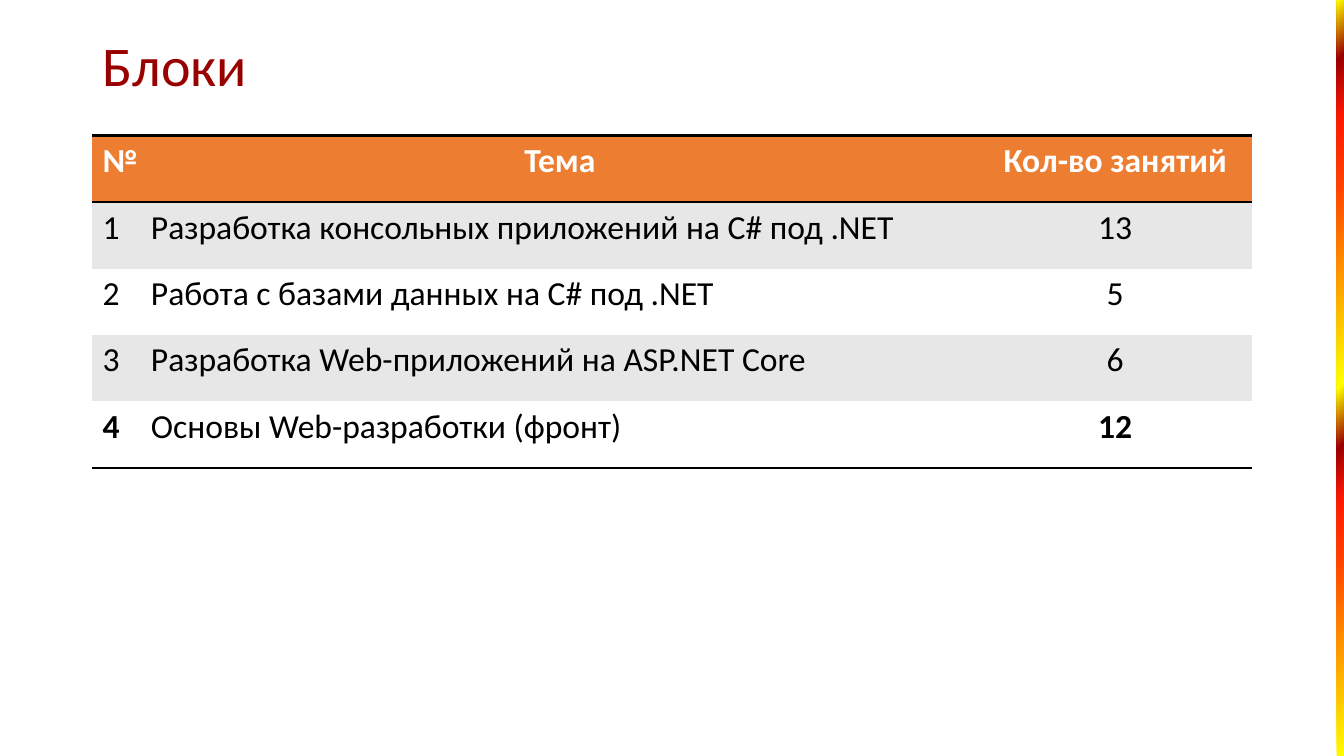
from lxml import etree
from pptx import Presentation
from pptx import util as u
from pptx.dml.color import RGBColor
from pptx.enum import shapes, text
from pptx.oxml import parse_xml
from pptx.oxml.ns import nsdecls, qn

FONT = "Calibri"
DARK_RED = RGBColor(0x99, 0x00, 0x00)
RED = RGBColor(0xFF, 0x19, 0x00)
ORANGE_RED = RGBColor(0xFF, 0x3D, 0x00)
YELLOW = RGBColor(0xFF, 0xFF, 0x00)
ORANGE = RGBColor(0xED, 0x7D, 0x31)
GREY = RGBColor(0xE7, 0xE7, 0xE7)
WHITE = RGBColor(0xFF, 0xFF, 0xFF)
BLACK = RGBColor(0x00, 0x00, 0x00)

NO_STYLE = "{2D5ABB26-0587-4C30-8999-92F81FD0307C}"
FIRE_STOPS = [
    (0, YELLOW), (27, ORANGE_RED), (34, RED), (41, DARK_RED),
    (49, YELLOW), (76, ORANGE_RED), (84, RED), (92, DARK_RED), (100, YELLOW),
]
COLUMN_WIDTHS = [1.22, 21.12, 6.87]
HEADER = ["№", "Тема", "Кол-во занятий"]
BLOCKS = [
    ("1", "Разработка консольных приложений на C# под .NET", "13"),
    ("2", "Работа с базами данных на C# под .NET", "5"),
    ("3", "Разработка Web-приложений на ASP.NET Core", "6"),
    ("4", "Основы Web-разработки (фронт)", "12"),
]


def format_run(r, size, color, bold=False):
    """Apply the slide font to a run."""
    r.font.name = FONT
    r.font.size = u.Pt(size)
    r.font.bold = bold
    r.font.color.rgb = color


def add_fire_strip(s, left, top, width, height):
    """Draw the gradient strip that fills the given box."""
    sp = s.shapes.add_shape(shapes.MSO_SHAPE.RECTANGLE, left, top, width, height)
    sp.shadow.inherit = False
    sp.line.fill.background()
    sp.fill.gradient()
    sp.fill.gradient_angle = 135
    stops = sp.fill._fill._gradFill.find(qn("a:gsLst"))
    for stop in list(stops):
        stops.remove(stop)
    for percent, color in FIRE_STOPS:
        stop = etree.SubElement(stops, qn("a:gs"), pos=str(percent * 1000))
        etree.SubElement(stop, qn("a:srgbClr"), val=str(color))


def place_title(s, title, left, top, width, height):
    """Move the title placeholder into the given box and fill it."""
    sp = s.shapes.title
    sp.left, sp.top, sp.width, sp.height = left, top, width, height
    tf = sp.text_frame
    tf.text = title
    tf.word_wrap = True
    tf.auto_size = text.MSO_AUTO_SIZE.NONE
    tf.vertical_anchor = text.MSO_ANCHOR.MIDDLE
    p = tf.paragraphs[0]
    p.alignment = text.PP_ALIGN.LEFT
    p.line_spacing = 0.9
    format_run(p.runs[0], 40, DARK_RED)


def add_borders(cell, sides):
    """Rule the given sides of a cell, listed in schema order."""
    for i, side in enumerate(sides):
        line = parse_xml(
            f'<a:ln{side} {nsdecls("a")} w="{u.Pt(2)}"><a:solidFill>'
            f'<a:srgbClr val="{BLACK}"/></a:solidFill></a:ln{side}>'
        )
        cell._tc.get_or_add_tcPr().insert(i, line)


def add_blocks_table(s, left, top, width, height):
    """Build the table of course blocks in the given box."""
    rows = [HEADER, *BLOCKS]
    last = len(rows) - 1
    frame = s.shapes.add_table(len(rows), len(HEADER), left, top, width, height)
    table = frame.table
    table._tbl.tblPr.find(qn("a:tableStyleId")).text = NO_STYLE
    for column, column_width in zip(table.columns, COLUMN_WIDTHS):
        column.width = u.Cm(column_width)
    for i, row in enumerate(rows):
        is_header = i == 0
        fill = ORANGE if is_header else GREY if i % 2 else WHITE
        for j, value in enumerate(row):
            cell = table.cell(i, j)
            cell.fill.solid()
            cell.fill.fore_color.rgb = fill
            cell.text_frame.text = value
            p = cell.text_frame.paragraphs[0]
            centred = is_header or j == 2
            p.alignment = text.PP_ALIGN.CENTER if centred else text.PP_ALIGN.LEFT
            bold = is_header or (i == last and j != 1)
            format_run(p.runs[0], 24, WHITE if is_header else BLACK, bold)
            if is_header:
                add_borders(cell, "TB")
            elif i == last:
                add_borders(cell, "B")


def main():
    """Build and save the slide."""
    prs = Presentation()
    prs.slide_width, prs.slide_height = u.Cm(33.87), u.Cm(19.05)
    s = prs.slides.add_slide(prs.slide_layouts[5])
    strip_width = u.Cm(0.18)
    add_fire_strip(s, prs.slide_width - strip_width, 0, strip_width, prs.slide_height)
    left, width = u.Cm(2.33), u.Cm(29.21)
    place_title(s, "Блоки", left, u.Cm(0.38), width, u.Cm(2.7))
    add_blocks_table(s, left, u.Cm(3.42), width, u.Cm(8.37))
    prs.save("out.pptx")


main()
